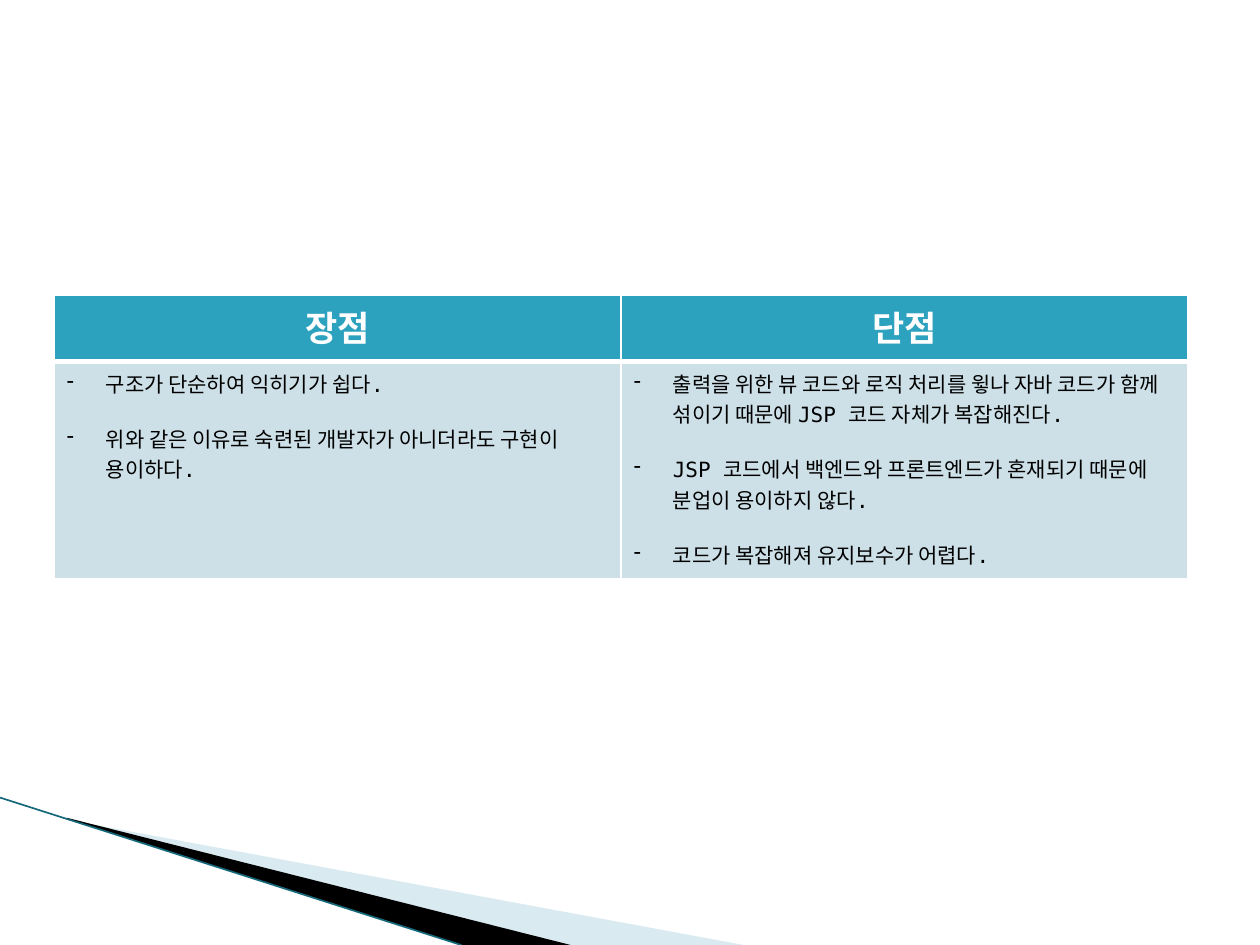
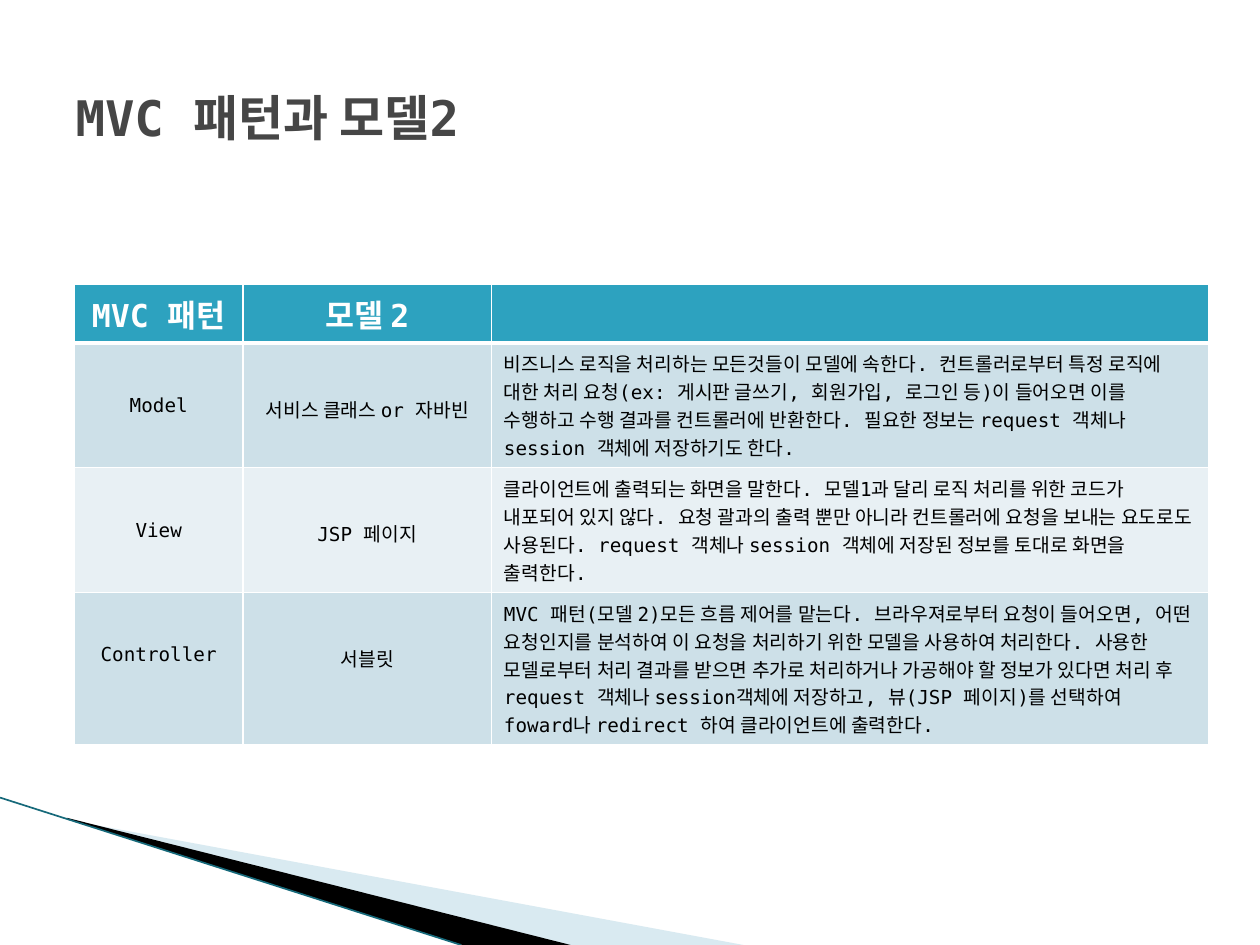
from lxml.etree import SubElement
from pptx import Presentation
from pptx.dml.color import RGBColor
from pptx.enum.text import MSO_ANCHOR, PP_ALIGN
from pptx.oxml import parse_xml
from pptx.oxml.ns import nsdecls, qn
from pptx.util import Inches, Pt

COLORS = {
    "white": "FFFFFF",
    "black": "000000",
    "title": "464646",
    "header": "2DA2BF",
    "odd_row": "CDE0E8",
    "even_row": "E8F0F4",
    "light_wedge": "A0CBDC",
    "edge": "16697A",
}
FONT = "DejaVu Sans Mono"


def write_text(text_frame, texts, size, color, bold=False, alignment=PP_ALIGN.LEFT, bullet=None):
    for index, text in enumerate(texts):
        paragraph = text_frame.paragraphs[0] if index == 0 else text_frame.add_paragraph()
        paragraph.alignment = alignment
        run = paragraph.add_run()
        run.text = text
        font_format = {"name": FONT, "size": Pt(size), "bold": bold}
        for name, value in font_format.items():
            setattr(run.font, name, value)
        run.font.color.rgb = RGBColor.from_string(COLORS[color])
        if bullet:
            paragraph.space_before = Pt(14 if index else 0)
            properties = paragraph._p.get_or_add_pPr()
            properties.set("marL", str(Inches(0.31)))
            properties.set("indent", str(-Inches(0.31)))
            SubElement(properties, qn("a:buChar"), char=bullet)


def add_styled_table(slide, left, top, column_widths, row_heights):
    table = slide.shapes.add_table(
        len(row_heights), len(column_widths), Inches(left), Inches(top),
        Inches(sum(column_widths)), Inches(sum(row_heights)),
    ).table
    for column, width in zip(table.columns, column_widths):
        column.width = Inches(width)
    for row_index, (row, height) in enumerate(zip(table.rows, row_heights)):
        row.height = Inches(height)
        fill_name = "header" if row_index == 0 else ("even_row", "odd_row")[row_index % 2]
        for cell in row.cells:
            cell.fill.solid()
            cell.fill.fore_color.rgb = RGBColor.from_string(COLORS[fill_name])
            widths = {
                "lnL": 1,
                "lnR": 1,
                "lnT": 3 if row_index == 1 else 1,
                "lnB": 3 if row_index == 0 else 1,
            }
            for position, (side, width) in enumerate(widths.items()):
                border = parse_xml(
                    f'<a:{side} {nsdecls("a")} w="{Pt(width)}"><a:solidFill>'
                    f'<a:srgbClr val="{COLORS["white"]}"/></a:solidFill></a:{side}>'
                )
                cell._tc.get_or_add_tcPr().insert(position, border)
    return table


presentation = Presentation()
presentation.slide_width = Inches(10)
presentation.slide_height = Inches(7.5)
title_only_layout, blank_layout = presentation.slide_layouts[5], presentation.slide_layouts[6]
comparison_slide = presentation.slides.add_slide(blank_layout)
pattern_slide = presentation.slides.add_slide(title_only_layout)

wedges = [
    ("light_wedge", 40, [(0.55, 6.51), (5.9, 7.5), (4.52, 7.5), (0.55, 6.5)]),
    ("black", 100, [(0.53, 6.49), (4.53, 7.5), (3.67, 7.5), (0.54, 6.5)]),
]
for slide in presentation.slides:
    for color, opacity, points in wedges:
        corners = [(Inches(x), Inches(y)) for x, y in points]
        builder = slide.shapes.build_freeform(*corners[0])
        builder.add_line_segments(corners[1:])
        wedge = builder.convert_to_shape()
        wedge.shadow.inherit = False
        wedge.line.fill.background()
        wedge.fill.solid()
        wedge.fill.fore_color.rgb = RGBColor.from_string(COLORS[color])
        if opacity < 100:
            color_element = wedge._element.spPr.find(".//" + qn("a:srgbClr"))
            SubElement(color_element, qn("a:alpha"), val=str(opacity * 1000))
    edge = slide.shapes.add_connector(1, Inches(0), Inches(6.33), Inches(3.66), Inches(7.5))
    edge.line.color.rgb = RGBColor.from_string(COLORS["edge"])
    edge.line.width = Pt(0.95)
    SubElement(edge._element.spPr, qn("a:effectLst"))

comparison = {
    "장점": [
        "구조가 단순하여 익히기가 쉽다.",
        "위와 같은 이유로 숙련된 개발자가 아니더라도 구현이 용이하다.",
    ],
    "단점": [
        "출력을 위한 뷰 코드와 로직 처리를 윟나 자바 코드가 함께 섞이기 때문에 JSP 코드 자체가 복잡해진다.",
        "JSP 코드에서 백엔드와 프론트엔드가 혼재되기 때문에 분업이 용이하지 않다.",
        "코드가 복잡해져 유지보수가 어렵다.",
    ],
}
comparison_table = add_styled_table(comparison_slide, 0.43, 2.34, [4.5, 4.5], [0.53, 1.72])
for column_index, (heading, points) in enumerate(comparison.items()):
    write_text(comparison_table.cell(0, column_index).text_frame, [heading], 20, "white", True, PP_ALIGN.CENTER)
    write_text(comparison_table.cell(1, column_index).text_frame, points, 12, "black", bullet="-")

title = pattern_slide.shapes.title
title_format = {"left": Inches(0.5), "top": Inches(0.3), "width": Inches(9), "height": Inches(1.25)}
for name, value in title_format.items():
    setattr(title, name, value)
title.text_frame.vertical_anchor = MSO_ANCHOR.MIDDLE
write_text(title.text_frame, ["MVC 패턴과 모델2"], 28, "title", True)

pattern_headings = ["MVC 패턴", "모델 2"]
pattern_rows = [
    (
        "Model", "서비스 클래스 or 자바빈",
        "비즈니스 로직을 처리하는 모든것들이 모델에 속한다. 컨트롤러로부터 특정 로직에 대한 처리 요청"
        "(ex: 게시판 글쓰기, 회원가입, 로그인 등)이 들어오면 이를 수행하고 수행 결과를 컨트롤러에 반환한다. "
        "필요한 정보는 request 객체나 session 객체에 저장하기도 한다.",
    ),
    (
        "View", "JSP 페이지",
        "클라이언트에 출력되는 화면을 말한다. 모델1과 달리 로직 처리를 위한 코드가 내포되어 있지 않다. "
        "요청 괄과의 출력 뿐만 아니라 컨트롤러에 요청을 보내는 요도로도 사용된다. "
        "request 객체나 session 객체에 저장된 정보를 토대로 화면을 출력한다.",
    ),
    (
        "Controller", "서블릿",
        "MVC 패턴(모델 2)모든 흐름 제어를 맡는다. 브라우져로부터 요청이 들어오면, "
        "어떤 요청인지를 분석하여 이 요청을 처리하기 위한 모델을 사용하여 처리한다. "
        "사용한 모델로부터 처리 결과를 받으면 추가로 처리하거나 가공해야 할 정보가 있다면 "
        "처리 후 request 객체나 session객체에 저장하고, 뷰(JSP 페이지)를 선택하여 "
        "foward나 redirect 하여 클라이언트에 출력한다.",
    ),
]
pattern_table = add_styled_table(pattern_slide, 0.59, 2.26, [1.34, 1.97, 5.69], [0.45, 0.99, 0.99, 1.21])
for column_index, heading in enumerate(pattern_headings):
    write_text(pattern_table.cell(0, column_index).text_frame, [heading], 18, "white", True, PP_ALIGN.CENTER)
for row_index, row_texts in enumerate(pattern_rows, start=1):
    for column_index, text in enumerate(row_texts):
        cell = pattern_table.cell(row_index, column_index)
        is_label = column_index < 2
        if is_label:
            cell.margin_top = Inches(0.41)
        alignment = PP_ALIGN.CENTER if is_label else PP_ALIGN.LEFT
        write_text(cell.text_frame, [text], 11, "black", alignment=alignment)

presentation.save("out.pptx")
